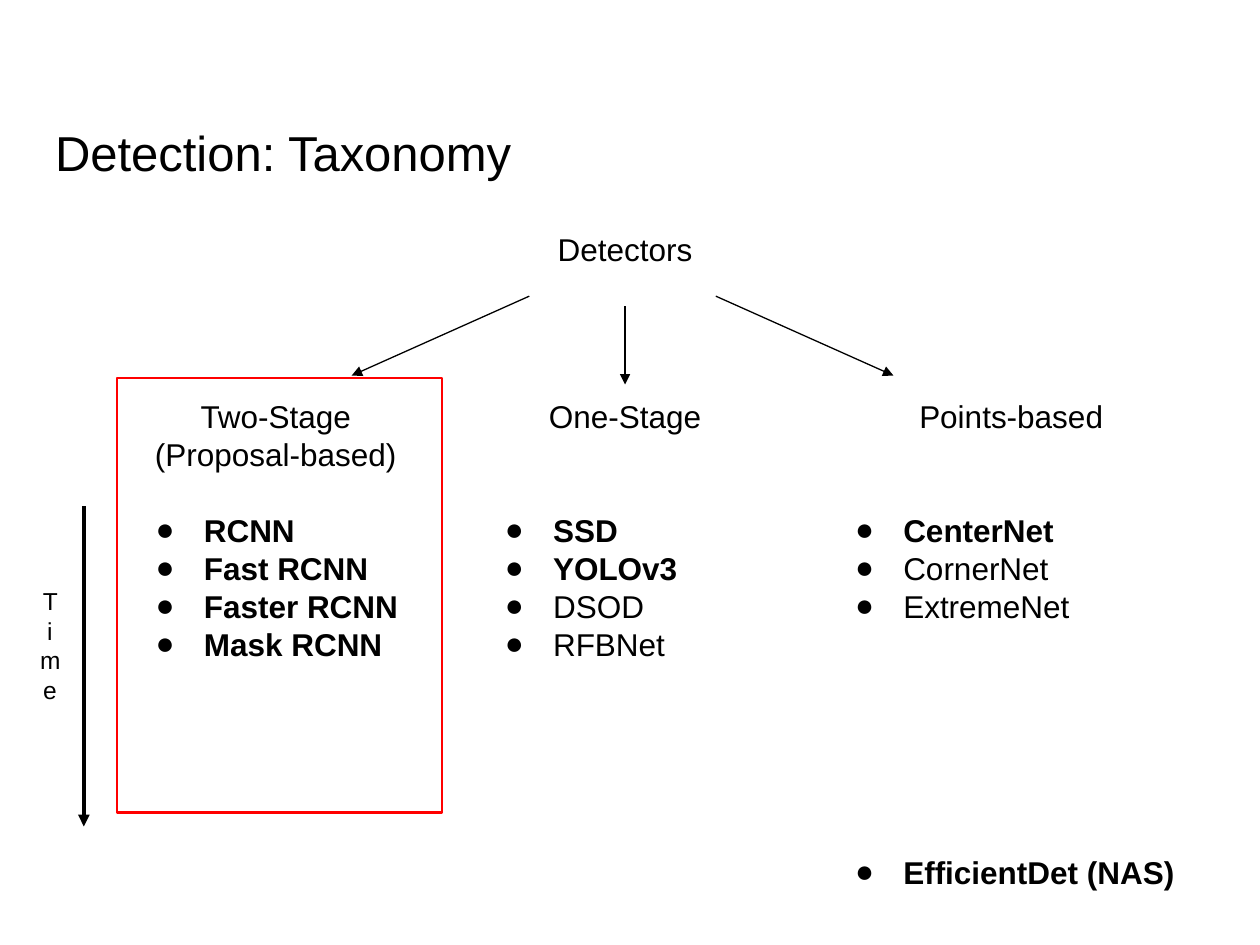
from lxml import etree
from pptx import Presentation
from pptx.dml.color import RGBColor
from pptx.enum.shapes import MSO_CONNECTOR, MSO_SHAPE
from pptx.enum.text import PP_ALIGN
from pptx.oxml.ns import qn
from pptx.util import Cm, Pt

BLACK = RGBColor(0, 0, 0)
RED = RGBColor(255, 0, 0)
LEFT, CENTER = PP_ALIGN.LEFT, PP_ALIGN.CENTER
STRAIGHT = MSO_CONNECTOR.STRAIGHT
RECT = MSO_SHAPE.RECTANGLE
LEAD = 1.206  # line pitch as a share of the text size
PITCH = 18 * LEAD

prs = Presentation()
prs.slide_width, prs.slide_height = Cm(25.4), Cm(19.05)
slide = prs.slides.add_slide(prs.slide_layouts[6])
shapes = slide.shapes


def add_para(par, text, size=18, bold=False, align=LEFT, before=0):
    form = {"alignment": align, "line_spacing": Pt(round(size * LEAD, 1)),
            "space_before": Pt(round(before, 1))}
    for name, value in form.items():
        setattr(par, name, value)
    run = par.add_run()
    run.text = text
    for name, value in {"name": "Arial", "size": Pt(size), "bold": bold}.items():
        setattr(run.font, name, value)
    run.font.color.rgb = BLACK


def add_box(area, text, size=18, align=CENTER):
    box = shapes.add_textbox(*map(Cm, area))
    frame = box.text_frame
    frame.word_wrap = True
    for side in ("left", "top", "right", "bottom"):
        setattr(frame, f"margin_{side}", Cm(0.25))
    add_para(frame.paragraphs[0], text, size, align=align)
    return box


# Frame around the two-stage family
frame = shapes.add_shape(RECT, Cm(2.36), Cm(7.62), Cm(6.55), Cm(8.76))
frame.shadow.inherit = False
frame.fill.background()
frame.line.color.rgb = RED
frame.line.width = Pt(1.5)

add_box((0.86, 2.21, 23.67, 2.82), "Detection: Taxonomy", 28, LEFT)
root = add_box((9.63, 4.39, 5.94, 1.78), "Detectors")
add_box((0.56, 11.56, 0.89, 3.78), "Time", 14)

# Detector families: left, width, height, heading, then
# (name, bold, empty lines above)
FAMILIES = [
    (2.59, 5.94, 8.51, "Two-Stage (Proposal-based)",
     [("RCNN", True, 1), ("Fast RCNN", True, 0),
      ("Faster RCNN", True, 0), ("Mask RCNN", True, 0)]),
    (9.63, 5.94, 7.87, "One-Stage",
     [("SSD", True, 2), ("YOLOv3", True, 0),
      ("DSOD", False, 0), ("RFBNet", False, 0)]),
    (16.69, 7.39, 10.85, "Points-based",
     [("CenterNet", True, 2), ("CornerNet", False, 0),
      ("ExtremeNet", False, 0), ("EfficientDet (NAS)", True, 6)]),
]
boxes = []
for left, width, height, head, models in FAMILIES:
    box = add_box((left, 7.75, width, height), head)
    boxes.append(box)
    for model, bold, gap in models:
        par = box.text_frame.add_paragraph()
        props = par._p.get_or_add_pPr()
        props.set("marL", str(Cm(1.27)))
        props.set("indent", str(Cm(-0.97)))
        color = etree.SubElement(props, qn("a:buClr"))
        etree.SubElement(color, qn("a:srgbClr"), val=str(BLACK))
        etree.SubElement(props, qn("a:buFont"), typeface="Arial")
        etree.SubElement(props, qn("a:buChar"), char="●")
        add_para(par, model, bold=bold, before=gap * PITCH)

# Arrows: start x, y, end x, y, line width
ARROWS = [
    (10.67, 5.97, 7.09, 7.57, 0.75),
    (14.43, 5.97, 18.01, 7.57, 0.75),
    (12.6, 6.17, 12.6, 7.75, 0.75),
    (1.69, 10.21, 1.69, 16.66, 2.25),
]
lines = []
for *ends, width in ARROWS:
    line = shapes.add_connector(STRAIGHT, *map(Cm, ends))
    line.line.color.rgb = BLACK
    line.line.width = Pt(width)
    etree.SubElement(line.line._get_or_add_ln(), qn("a:tailEnd"), type="triangle")
    etree.SubElement(line._element.spPr, qn("a:effectLst"))
    lines.append(line)
lines[2].begin_connect(root, 2)
lines[2].end_connect(boxes[1], 0)

prs.save("out.pptx")
